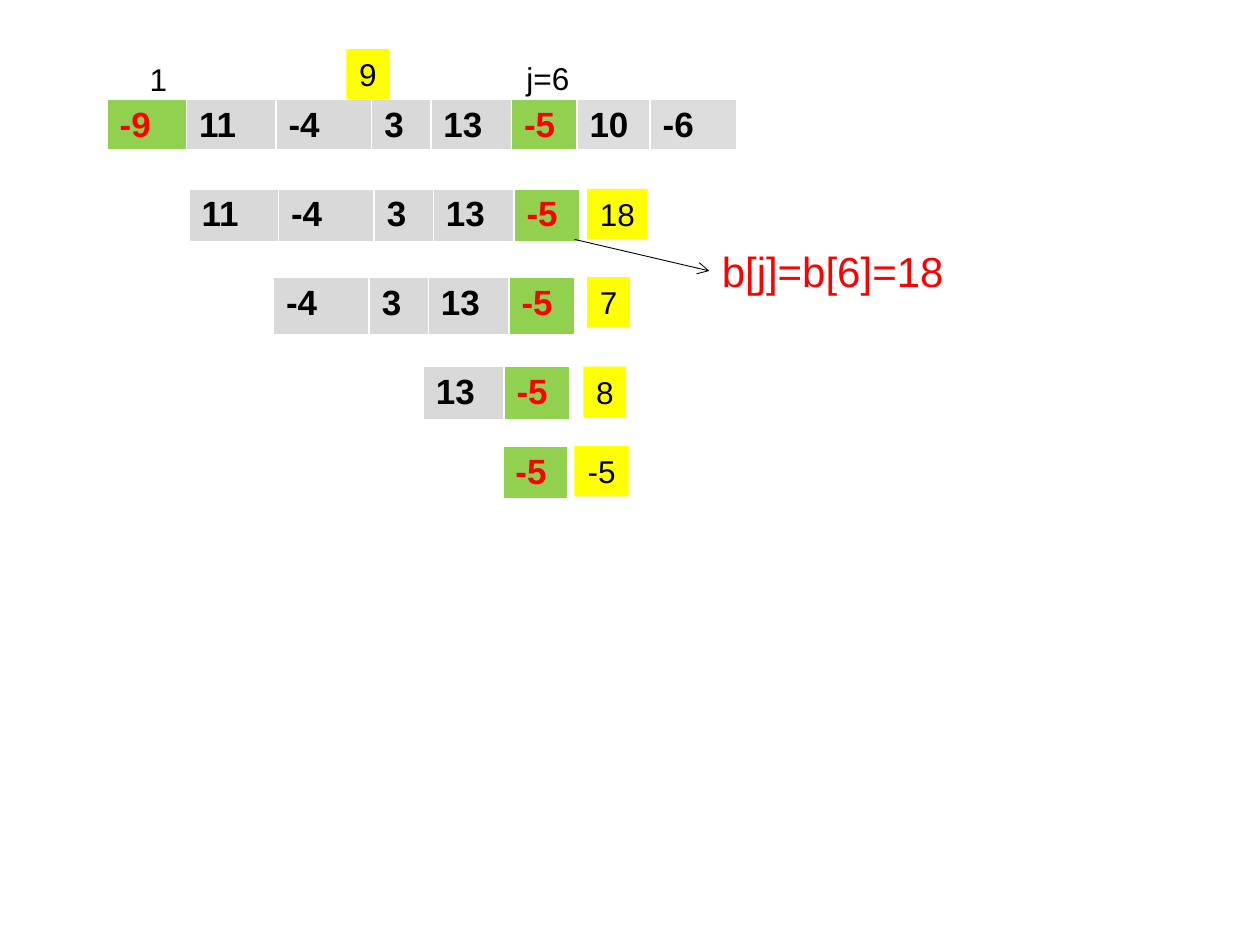
from lxml.etree import SubElement
from pptx import Presentation
from pptx.dml.color import RGBColor
from pptx.enum.shapes import MSO_CONNECTOR, MSO_SHAPE
from pptx.enum.text import MSO_AUTO_SIZE
from pptx.oxml import parse_xml
from pptx.oxml.ns import nsdecls, qn
from pptx.util import Inches, Pt

BLACK, WHITE, RED = "000000", "FFFFFF", "FF0000"
GREEN, YELLOW, GRAY, LIGHT_GRAY = "92D050", "FFFF00", "D9D9D9", "DDDDDD"

VALUES = ["-9", "11", "-4", "3", "13", "-5", "10", "-6"]
WIDTHS = [0.63, 0.71, 0.76, 0.47, 0.64, 0.52, 0.58, 0.69]
J = 6  # one-based position where every subarray ends

# first index, left, top, row height of each subarray ending at j
SUBARRAYS = [
    (1, 1.5, 1.5, 0.43),
    (2, 2.17, 2.2, 0.47),
    (4, 3.36, 2.91, 0.41),
    (5, 3.99, 3.54, 0.41),
]
# sum, left, top, width
SUMS = [
    ("9", 2.75, 0.39, 0.34),
    ("18", 4.66, 1.5, 0.48),
    ("7", 4.66, 2.2, 0.34),
    ("8", 4.63, 2.91, 0.34),
    ("-5", 4.56, 3.54, 0.43),
]


def rgb(color):
    return RGBColor.from_string(color)


def write(tf, text, size=18, color=BLACK, bold=False, font="Arial"):
    r = tf.paragraphs[0].add_run()
    r.text = text
    r.font.name = font
    r.font.size = Pt(size)
    r.font.bold = bold
    r.font.color.rgb = rgb(color)


def set_borders(cell):
    """White borders, heavier at the bottom."""
    tc_pr = cell._tc.get_or_add_tcPr()
    for i, (side, width) in enumerate([("L", 1), ("R", 1), ("T", 1), ("B", 3)]):
        tc_pr.insert(i, parse_xml(
            f'<a:ln{side} {nsdecls("a")} w="{Pt(width)}"><a:solidFill>'
            f'<a:srgbClr val="{WHITE}"/></a:solidFill></a:ln{side}>'))


class ArraySlide:
    def __init__(self, prs):
        self.s = prs.slides.add_slide(prs.slide_layouts[6])

    def array(self, first, last, left, top, height, marked):
        """Draw VALUES[first:last] with the marked indices in green."""
        widths = WIDTHS[first:last]
        frame = self.s.shapes.add_table(
            1, len(widths), Inches(left), Inches(top),
            Inches(sum(widths)), Inches(height))
        table = frame.table
        table.first_row = table.horz_banding = False
        table.rows[0].height = Inches(height)
        for col, width in enumerate(widths):
            i = first + col
            table.columns[col].width = Inches(width)
            cell = table.cell(0, col)
            plain = GRAY if i < J else LIGHT_GRAY
            cell.fill.solid()
            cell.fill.fore_color.rgb = rgb(GREEN if i in marked else plain)
            set_borders(cell)
            write(cell.text_frame, VALUES[i], size=20, bold=True,
                  color=RED if i in marked else BLACK)

    def label(self, text, left, top, width, height=0.4, **style):
        sp = self.s.shapes.add_textbox(
            Inches(left), Inches(top), Inches(width), Inches(height))
        self.fit(sp.text_frame, text, **style)
        return sp

    def sum_box(self, text, left, top, width):
        sp = self.s.shapes.add_shape(
            MSO_SHAPE.RECTANGLE, Inches(left), Inches(top),
            Inches(width), Inches(0.4))
        sp.shadow.inherit = False
        sp.fill.solid()
        sp.fill.fore_color.rgb = rgb(YELLOW)
        sp.line.fill.background()
        self.fit(sp.text_frame, text)

    def fit(self, tf, text, **style):
        tf.word_wrap = False
        tf.auto_size = MSO_AUTO_SIZE.SHAPE_TO_FIT_TEXT
        write(tf, text, **style)

    def arrow_to(self, target, x, y):
        """Arrow from (x, y) to the middle of the target's left side."""
        line = self.s.shapes.add_connector(
            MSO_CONNECTOR.STRAIGHT, Inches(x), Inches(y), Inches(x), Inches(y))
        line.end_connect(target, 1)
        line.line.color.rgb = rgb(BLACK)
        line.line.width = Pt(0.5)
        SubElement(line.line._get_or_add_ln(), qn("a:tailEnd"), type="arrow")
        SubElement(line._element.spPr, qn("a:effectLst"))


def main():
    prs = Presentation()
    prs.slide_width, prs.slide_height = Inches(10), Inches(7.5)
    slide = ArraySlide(prs)

    slide.array(0, len(VALUES), 0.85, 0.79, 0.41, marked={0, J - 1})
    slide.label("1", 1.09, 0.43, 0.34)
    slide.label("j=6", 4.08, 0.42, 0.55)
    for first, left, top, height in SUBARRAYS:
        slide.array(first, J, left, top, height, marked={J - 1})
    best = slide.label("b[j]=b[6]=18", 5.63, 1.9, 1.98, 0.5, size=24, color=RED)
    for box in SUMS:
        slide.sum_box(*box)
    slide.arrow_to(best, 4.56, 1.9)

    prs.save("out.pptx")


if __name__ == "__main__":
    main()
